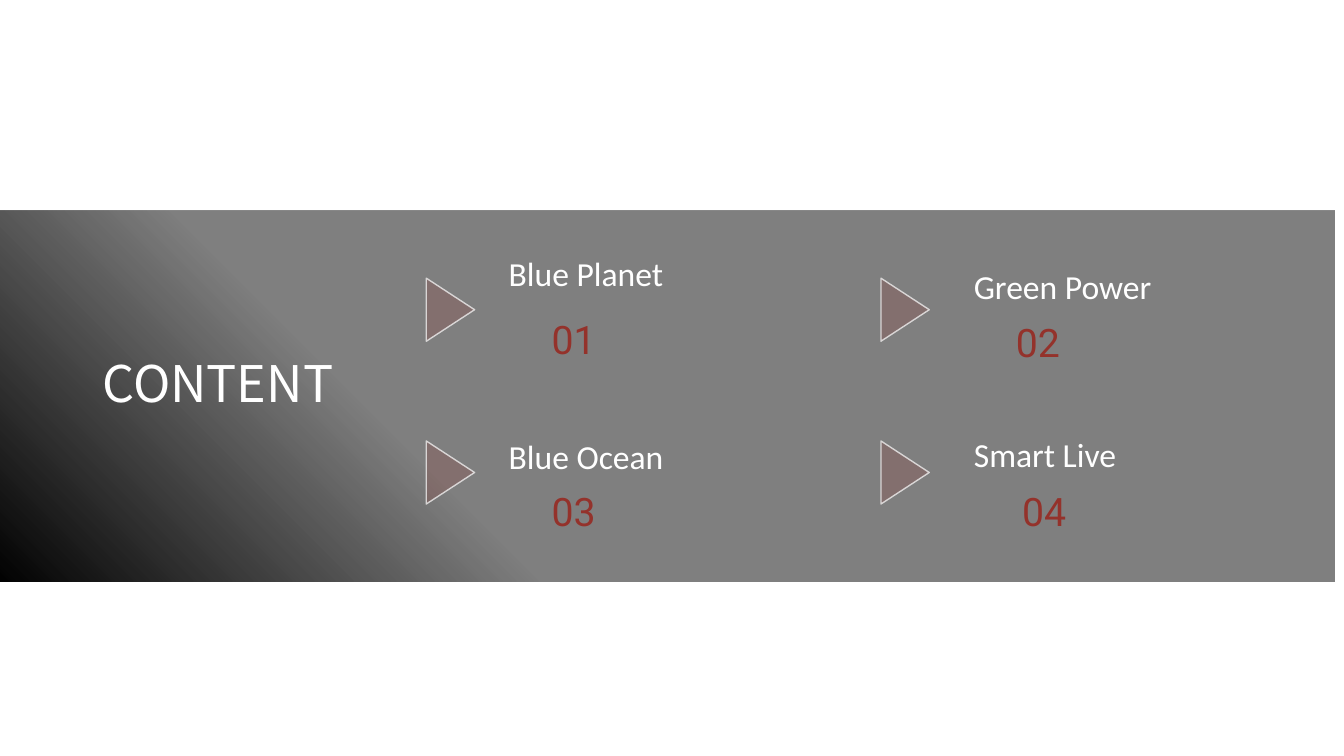
"""Builds a contents slide with four numbered topics on a gradient band."""
from lxml.etree import SubElement
from pptx import Presentation
from pptx.dml.color import RGBColor
from pptx.enum.shapes import MSO_SHAPE as SHAPE
from pptx.enum.text import MSO_ANCHOR as ANCHOR, MSO_AUTO_SIZE as AUTO, PP_ALIGN as ALIGN
from pptx.oxml.ns import qn
from pptx.util import Emu, Pt

PX = 9525
BLACK = RGBColor(0x00, 0x00, 0x00)
WHITE = RGBColor(0xFF, 0xFF, 0xFF)
RED = RGBColor(0x94, 0x32, 0x2B)

ARROW_X = (399, 832)
ARROW_Y = (272, 427)
TOPICS = [
    ("Blue Planet", (475, 236), "01", (516, 296)),
    ("Green Power", (918, 249), "02", (958, 298)),
    ("Blue Ocean", (475, 410), "03", (516, 459)),
    ("Smart Live", (918, 409), "04", (964, 459)),
]


def px(*lengths):
    """Turn pixel lengths into EMU."""
    return [Emu(n * PX) for n in lengths]


def set_alpha(color, percent):
    """Set the opacity of a colour element."""
    SubElement(color, qn("a:alpha")).set("val", str(percent * 1000))


def add_band(s):
    """Add the wide band that fades from black to half-clear black."""
    sp = s.shapes.add_shape(SHAPE.RECTANGLE, *px(-9, 201, 1280, 353))
    sp.shadow.inherit = False
    sp.line.fill.background()
    sp.fill.gradient()
    sp.fill.gradient_angle = 45
    for stop, position in zip(sp.fill.gradient_stops, (0, 0.32)):
        stop.color.rgb = BLACK
        stop.position = position
    colors = list(sp.element.spPr.iter(qn("a:srgbClr")))
    set_alpha(colors[-1], 50)
    return sp


def add_arrow(s, x, y):
    """Add a translucent triangle that points right."""
    sp = s.shapes.add_shape(SHAPE.ISOSCELES_TRIANGLE, *px(x, y, 60, 46))
    sp.rotation = 90
    sp.shadow.inherit = False
    sp.fill.solid()
    sp.fill.fore_color.rgb = RED
    sp.line.color.rgb = WHITE
    sp.line.width = Pt(1)
    for color, percent in zip(sp.element.spPr.iter(qn("a:srgbClr")), (20, 70)):
        set_alpha(color, percent)


def set_text(sp, text, *, size, font, color, anchor=ANCHOR.TOP):
    """Write one left-aligned line of formatted text into a shape."""
    tf = sp.text_frame
    tf.word_wrap = True
    tf.auto_size = AUTO.SHAPE_TO_FIT_TEXT
    tf.vertical_anchor = anchor
    p = tf.paragraphs[0]
    p.alignment = ALIGN.LEFT
    r = p.add_run()
    r.text = text
    r.font.size = Pt(size)
    r.font.name = font
    r.font.color.rgb = color


def add_title(s, band):
    """Place the title in front of the band."""
    sp = s.shapes.title
    sp.left, sp.top, sp.width, sp.height = px(88, 330, 257, 68)
    band.element.addnext(sp.element)
    set_text(sp, "CONTENT", size=36, font="Noto Sans CJK SC", color=WHITE,
             anchor=ANCHOR.MIDDLE)


def add_topic(s, name, name_at, number, number_at):
    """Add a topic name and its number."""
    sp = s.shapes.add_textbox(*px(*name_at, 203, 48))
    set_text(sp, name, size=24, font="Calibri", color=WHITE)
    sp = s.shapes.add_textbox(*px(*number_at, 84, 55))
    set_text(sp, number, size=28, font="Roboto", color=RED)


def main():
    """Build and save the slide."""
    prs = Presentation()
    prs.slide_width, prs.slide_height = px(1280, 720)
    s = prs.slides.add_slide(prs.slide_layouts[5])
    band = add_band(s)
    add_title(s, band)
    for x in ARROW_X:
        for y in ARROW_Y:
            add_arrow(s, x, y)
    for topic in TOPICS:
        add_topic(s, *topic)
    prs.save("out.pptx")


if __name__ == "__main__":
    main()
